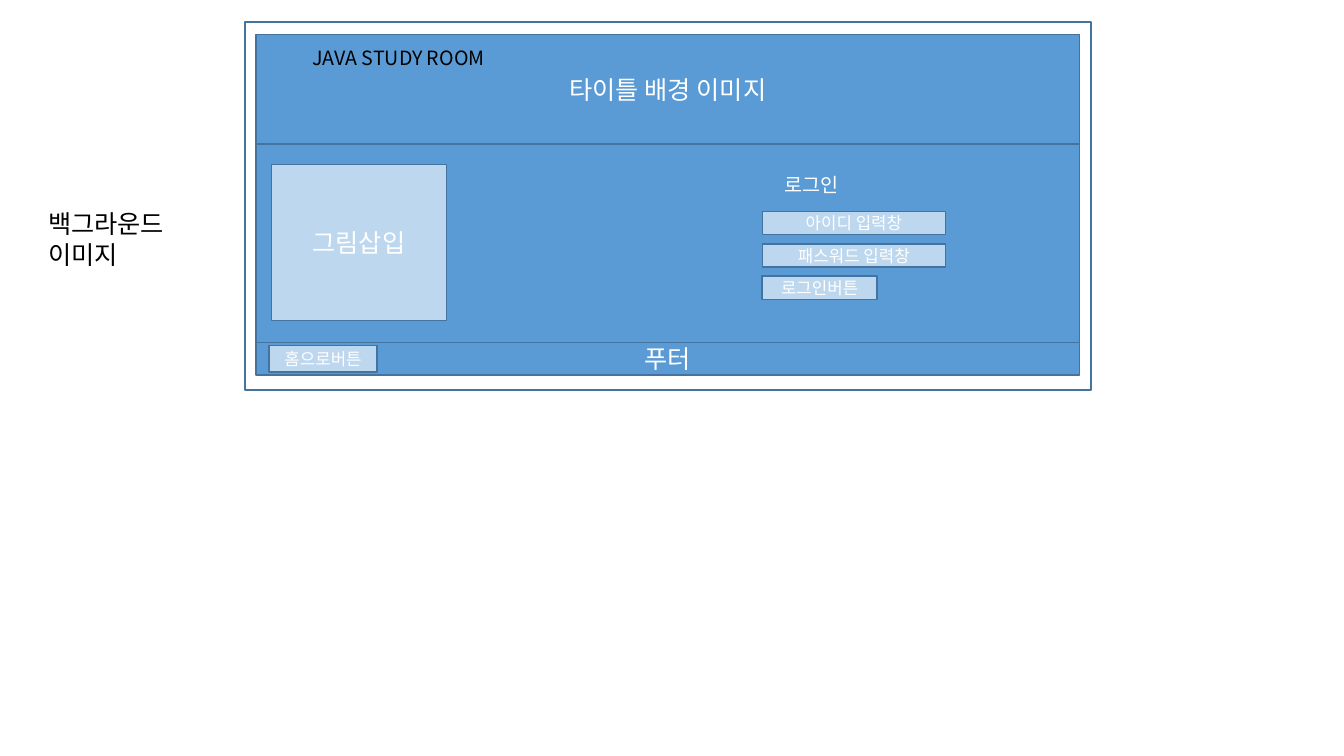
from lxml import etree
from pptx import Presentation
from pptx.dml.color import RGBColor
from pptx.enum.shapes import MSO_SHAPE
from pptx.enum.text import MSO_ANCHOR, PP_ALIGN
from pptx.oxml.ns import qn
from pptx.util import Pt

RECT = MSO_SHAPE.RECTANGLE
MIDDLE, TOP = MSO_ANCHOR.MIDDLE, MSO_ANCHOR.TOP
CENTER, LEFT = PP_ALIGN.CENTER, PP_ALIGN.LEFT
PX = 9144  # 100 px to the inch
FONT = "Noto Sans CJK KR"
COLORS = {"white": "FFFFFF", "black": "000000", "blue": "5B9BD5",
          "pale": "BDD7EE", "edge": "43739E"}


def color(name):
    return RGBColor.from_string(COLORS[name])


class Mockup:
    def __init__(self, width, height):
        self.deck = Presentation()
        self.deck.slide_width = width * PX
        self.deck.slide_height = height * PX
        self.slide = self.deck.slides.add_slide(self.deck.slide_layouts[6])

    def set_text(self, shape, text, size, ink, align, anchor):
        frame = shape.text_frame
        frame.word_wrap = True
        frame.vertical_anchor = anchor
        frame.text = text
        for para in frame.paragraphs:
            para.alignment = align
            font = para.font
            font.size = Pt(size)
            font.name = FONT
            font.color.rgb = color(ink)
            # Hangul takes the East Asian typeface
            props = para._p.pPr.find(qn("a:defRPr"))
            etree.SubElement(props, qn("a:ea")).set("typeface", FONT)

    def box(self, x, y, w, h, fill, text="", size=18):
        shape = self.slide.shapes.add_shape(RECT, x * PX, y * PX, w * PX, h * PX)
        shape.shadow.inherit = False
        shape.fill.solid()
        shape.fill.fore_color.rgb = color(fill)
        shape.line.color.rgb = color("edge")
        shape.line.width = Pt(1)
        if text:
            self.set_text(shape, text, size, "white", CENTER, MIDDLE)

    def label(self, x, y, w, h, text, size, ink="black", align=LEFT):
        shape = self.slide.shapes.add_textbox(x * PX, y * PX, w * PX, h * PX)
        self.set_text(shape, text, size, ink, align, TOP)


def main():
    page = Mockup(1333, 750)

    # Page frame and its three bands
    page.box(243, 22, 839, 365, "white")
    for y, h, text in ((143, 197, ""), (34, 109, "타이틀 배경 이미지"),
                       (340, 32, "푸터")):
        page.box(254, y, 817, h, "blue", text)

    # Labels
    page.label(300, 41, 267, 34, "JAVA STUDY ROOM", 14)
    page.label(38, 202, 158, 71, "백그라운드\n이미지", 18)
    page.label(756, 167, 98, 34, "로그인", 14, "white", CENTER)

    # Picture slot
    page.box(269, 163, 174, 155, "pale", "그림삽입")

    # Login form
    fields = (("아이디 입력창", 182), ("패스워드 입력창", 182), ("로그인버튼", 114))
    for row, (text, w) in enumerate(fields):
        page.box(756, 210 + 32 * row, w, 23, "pale", text, 12)

    # Home button
    page.box(267, 343, 107, 26, "pale", "홈으로버튼", 12)

    page.deck.save("out.pptx")


if __name__ == "__main__":
    main()
